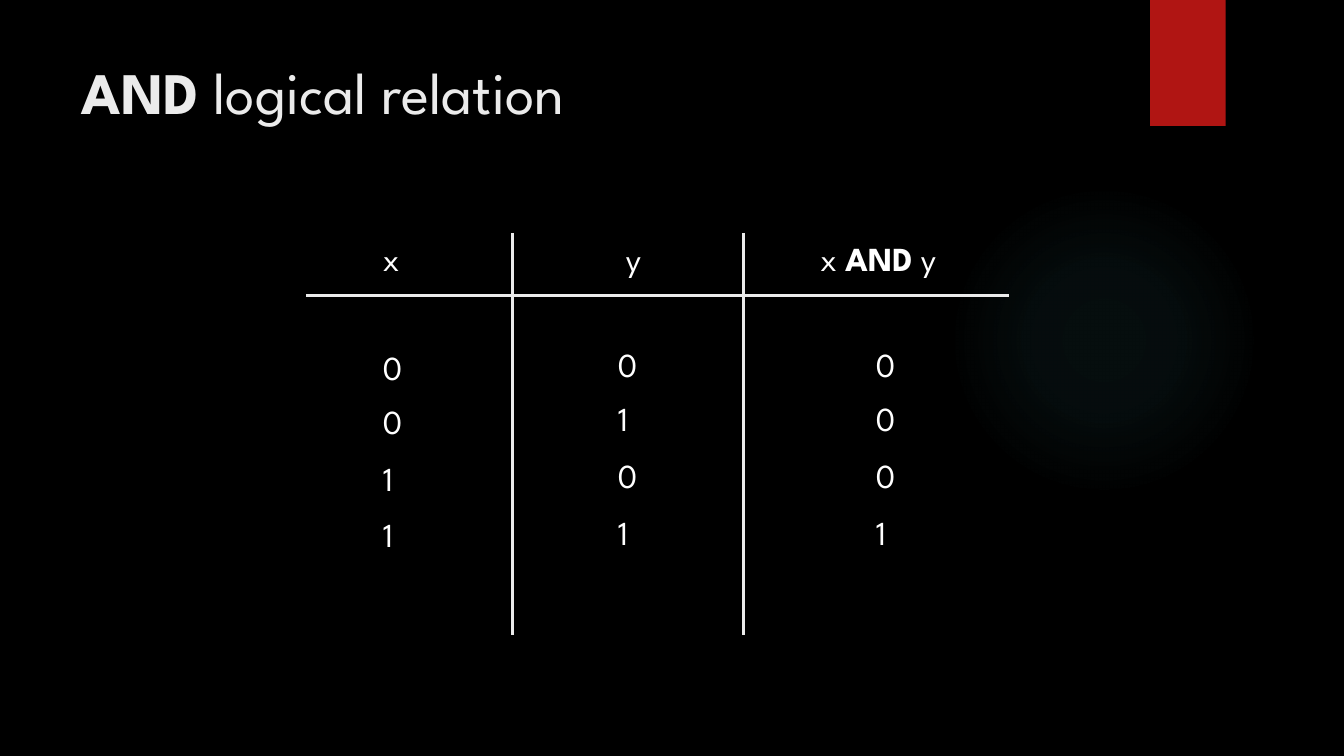
from pptx import Presentation
from pptx.util import Pt
from pptx.dml.color import RGBColor as RGB
from pptx.enum.shapes import MSO_CONNECTOR as LINE, MSO_SHAPE as SHAPE
from pptx.enum.text import MSO_ANCHOR as ANCHOR, MSO_AUTO_SIZE as FIT, PP_ALIGN as ALIGN
from pptx.oxml import parse_xml
from pptx.oxml.ns import nsdecls, qn
from lxml.etree import SubElement as Sub

# Runs are (text, bold)
TITLE = [("AND", True), (" logical relation", False)]
HEADS = [
    (266.4, 26, [("x", False)]),
    (440, 27.4, [("y", False)]),
    (578.9, 106.6, [("x ", False), ("AND", True), (" y", False)]),
]
ROWS = ["000", "010", "100", "111"]

FONT = "League Spartan"
BLACK, WHITE, PALE, RED, TEAL = "000000", "FFFFFF", "EBEBEB", "B01513", "50B9C1"
GLOW = [(0, 7), (36, 6), (69, 0)]  # position and opacity, in percent

# Column lefts with their small drop, and row tops
COLS = [(266.4, 1.8), (434.2, 0), (618.5, 0)]
TOPS = [242.4, 280.8, 321.4, 362]
HEAD_TOP, CELL_W, CELL_H = 166.3, 28, 36
RULES = [
    (218.9, 211, 720.7, 211),
    (365.8, 166.3, 365.8, 453.6),
    (531.4, 166.3, 531.4, 453.6),
]


def paint(fill, color):
    """Make a fill solid in a hex colour."""
    fill.solid()
    fill.fore_color.rgb = RGB.from_string(color)


def write(frame, runs, size=24, color=WHITE, align=ALIGN.LEFT, wrap=False, fit=FIT.SHAPE_TO_FIT_TEXT):
    """Fill a text frame with formatted runs."""
    frame.word_wrap, frame.auto_size = wrap, fit
    frame.vertical_anchor = ANCHOR.TOP
    para = frame.paragraphs[0]
    para.alignment = align
    for text, bold in runs:
        run = para.add_run()
        run.text = text
        font = run.font
        font.name, font.size, font.bold = FONT, Pt(size), bold
        font.color.rgb = RGB.from_string(color)


def label(left, top, width, runs):
    """Add one entry of the truth table."""
    box = slide.shapes.add_textbox(Pt(left), Pt(top), Pt(width), Pt(CELL_H))
    write(box.text_frame, runs)


def shape(kind, left, top, width, height, color):
    """Add a plain shape without outline or shadow."""
    item = slide.shapes.add_shape(kind, Pt(left), Pt(top), Pt(width), Pt(height))
    item.shadow.inherit = False
    item.line.fill.background()
    paint(item.fill, color)
    return item


def glow(item, color, stops):
    """Swap a solid fill for a fading radial one."""
    marks = "".join(
        f'<a:gs pos="{pos * 1000}"><a:srgbClr val="{color}">'
        f'<a:alpha val="{alpha * 1000}"/></a:srgbClr></a:gs>'
        for pos, alpha in stops)
    grad = parse_xml(
        f'<a:gradFill {nsdecls("a")}><a:gsLst>{marks}</a:gsLst><a:path path="circle">'
        '<a:fillToRect l="50000" t="50000" r="50000" b="50000"/></a:path></a:gradFill>')
    props = item._element.spPr
    props.replace(props.find(qn("a:solidFill")), grad)


def rule(*ends):
    """Add one straight line of the table."""
    line = slide.shapes.add_connector(LINE.STRAIGHT, *map(Pt, ends))
    line.line.width = Pt(2.25)
    line.line.color.rgb = RGB.from_string(PALE)
    Sub(line._element.spPr, qn("a:effectLst"))


deck = Presentation()
deck.slide_width, deck.slide_height = Pt(960), Pt(540)
slide = deck.slides.add_slide(deck.slide_layouts[5])
paint(slide.background.fill, BLACK)

glow(shape(SHAPE.OVAL, 677.5, 131.8, 221.8, 221.8, TEAL), TEAL, GLOW)
shape(SHAPE.RECTANGLE, 821.5, 0, 54, 90, RED)

title = slide.shapes.title
title.left, title.top, title.width, title.height = map(Pt, (51.1, 36, 740.9, 110.2))
write(title.text_frame, TITLE, size=42, color=PALE, wrap=True, fit=FIT.NONE)

for ends in RULES:
    rule(*ends)
for left, width, runs in HEADS:
    label(left, HEAD_TOP, width, runs)
for top, row in zip(TOPS, ROWS):
    for (left, drop), digit in zip(COLS, row):
        label(left, top + drop, CELL_W, [(digit, False)])

deck.save("out.pptx")
